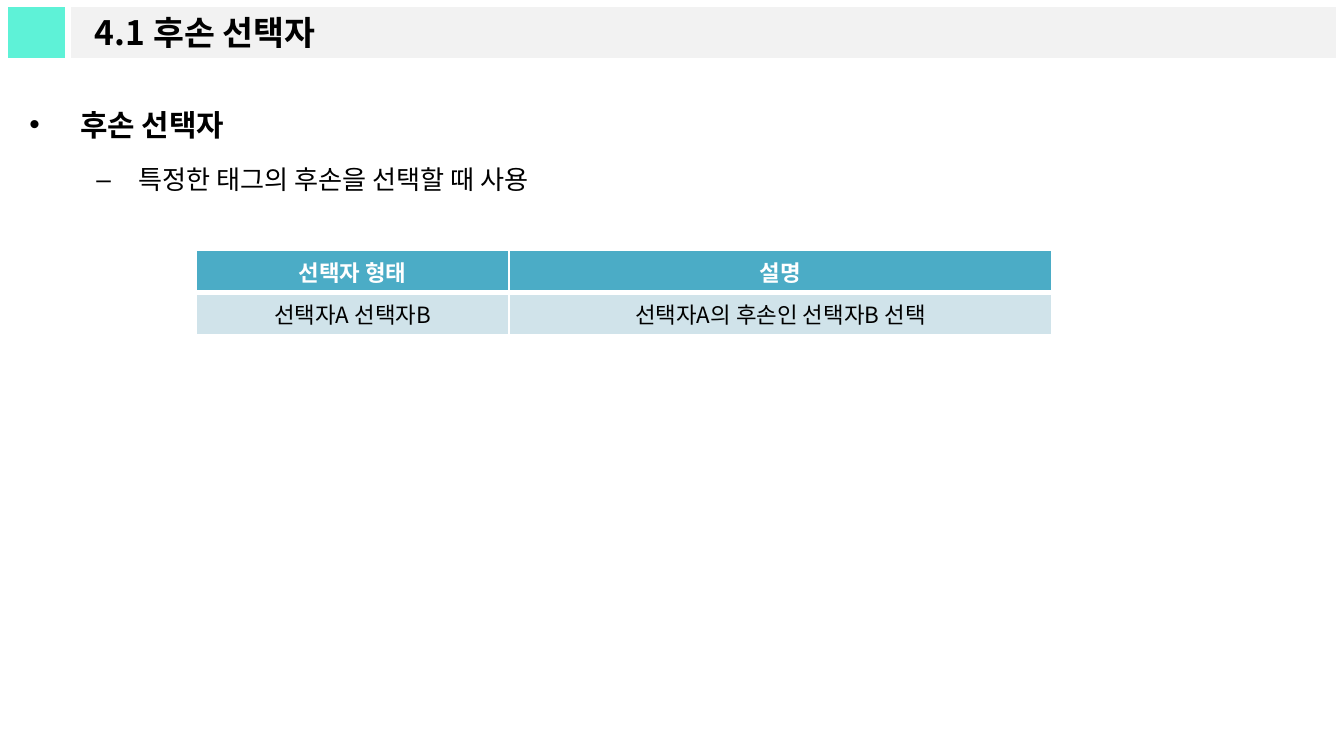
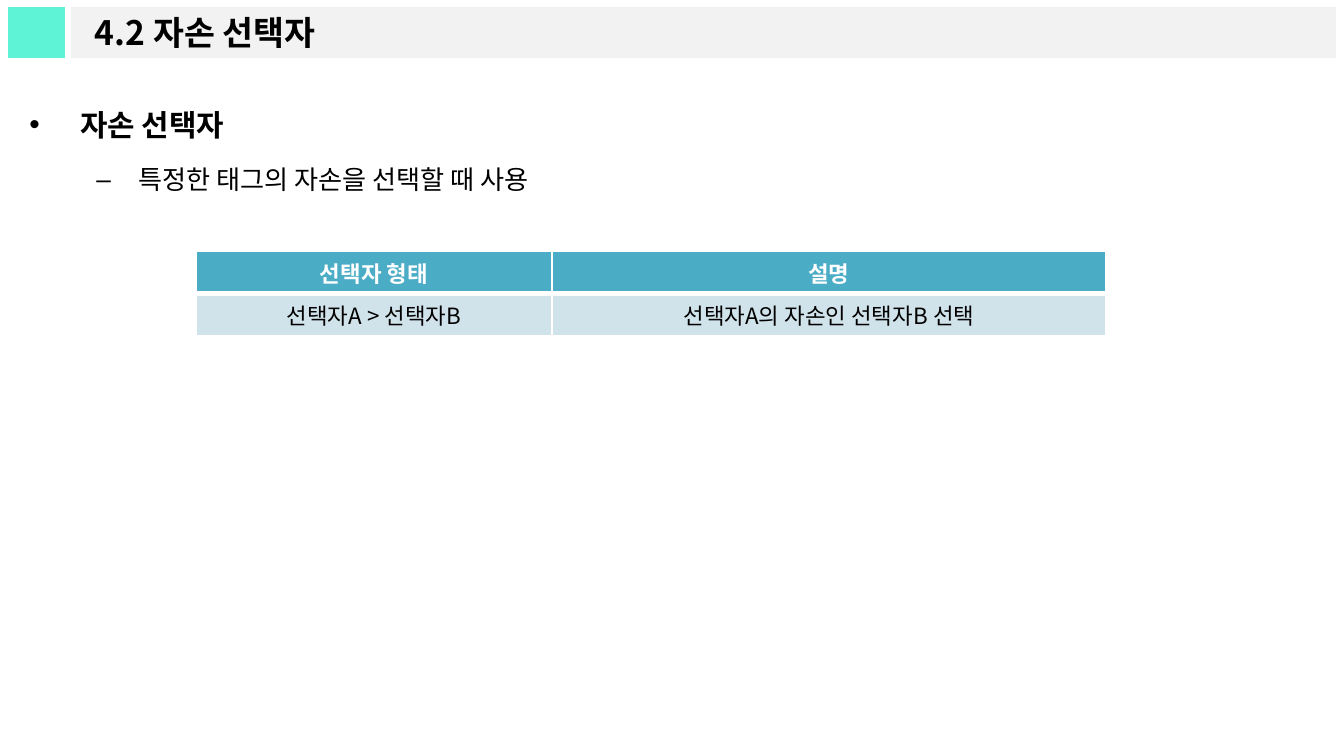
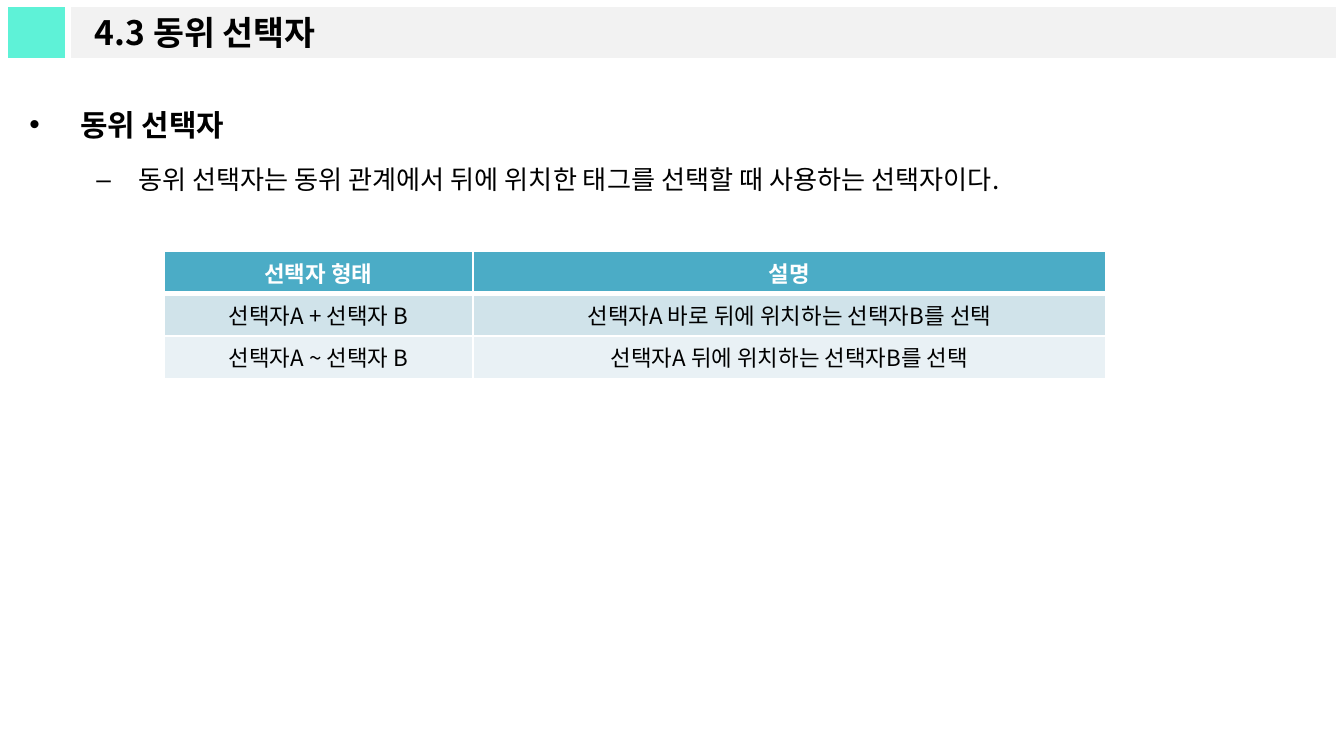
from lxml import etree
from pptx import Presentation
from pptx.dml.color import RGBColor
from pptx.enum.shapes import MSO_SHAPE
from pptx.enum.text import MSO_ANCHOR, MSO_AUTO_SIZE, PP_ALIGN
from pptx.oxml.ns import qn
from pptx.util import Pt

FONT = "Noto Sans CJK KR"
BLACK, WHITE, MINT, BAND = "000000", "FFFFFF", "5EF2D7", "F2F2F2"
HEADER, ROW_FILLS = "4BACC6", ("D0E3EA", "E9F1F5")
PX = 914400 / 134.4
MARKER_BOX = (5, 4, 63, 57)
TITLE_BOX = (68, 4, 1271, 57)
BODY_BOX = (16, 82, 1323, 650)
LEVELS = ((16, True, 51, -51), (14, False, 109, -42))
ROW_HEIGHT = 37

LESSONS = [
    ("4.1 후손 선택자", "후손 선택자", "특정한 태그의 후손을 선택할 때 사용",
     (196, 250), (313, 543),
     [("선택자A 선택자B", "선택자A의 후손인 선택자B 선택")]),
    ("4.2 자손 선택자", "자손 선택자", "특정한 태그의 자손을 선택할 때 사용",
     (196, 251), (356, 554),
     [("선택자A > 선택자B", "선택자A의 자손인 선택자B 선택")]),
    ("4.3 동위 선택자", "동위 선택자",
     "동위 선택자는 동위 관계에서 뒤에 위치한 태그를 선택할 때 사용하는 선택자이다.",
     (164, 251), (309, 633),
     [("선택자A + 선택자 B", "선택자A 바로 뒤에 위치하는 선택자B를 선택"),
      ("선택자A ~ 선택자 B", "선택자A 뒤에 위치하는 선택자B를 선택")]),
]


def px(length):
    """Turn pixels into EMU."""
    return round(length * PX)


def paint(target, color):
    """Give a shape, cell or line a solid hex colour."""
    target.fill.solid()
    target.fill.fore_color.rgb = RGBColor.from_string(color)


def place(shape, box):
    """Move and size a shape to a pixel box."""
    shape.left, shape.top, shape.width, shape.height = map(px, box)


def write(paragraph, text, size, color, bold):
    """Add one run in the deck font."""
    run = paragraph.add_run()
    run.text = text
    font = run.font
    font.name, font.size, font.bold = FONT, Pt(size), bold
    font.color.rgb = RGBColor.from_string(color)
    etree.SubElement(font._element, qn("a:ea")).set("typeface", FONT)


def style_block(shape, color):
    """Fill a header block and outline it in white."""
    paint(shape, color)
    paint(shape.line, WHITE)
    shape.line.width = Pt(3)


def add_marker(slide, layout):
    """Draw the mint square and hand it to the shared layout."""
    marker = slide.shapes.add_shape(MSO_SHAPE.RECTANGLE, *map(px, MARKER_BOX))
    marker.shadow.inherit = False
    style_block(marker, MINT)
    layout.shapes.element.append(marker.element)


def fill_title(shape, box, text):
    """Turn the title placeholder into the grey band."""
    place(shape, box)
    style_block(shape, BAND)
    frame = shape.text_frame
    frame.auto_size = MSO_AUTO_SIZE.NONE
    frame.vertical_anchor = MSO_ANCHOR.MIDDLE
    frame.margin_left = px(27)
    frame.paragraphs[0].alignment = PP_ALIGN.LEFT
    write(frame.paragraphs[0], text, 18, BLACK, True)


def fill_body(shape, box, lines):
    """Write the lines as successive bullet levels."""
    place(shape, box)
    frame = shape.text_frame
    frame.auto_size = MSO_AUTO_SIZE.NONE
    for level, (text, (size, bold, margin, indent)) in enumerate(zip(lines, LEVELS)):
        paragraph = frame.add_paragraph() if level else frame.paragraphs[0]
        paragraph.level = level
        paragraph.line_spacing = 1.5
        properties = paragraph._p.get_or_add_pPr()
        properties.set("marL", str(px(margin)))
        properties.set("indent", str(px(indent)))
        write(paragraph, text, size, BLACK, bold)


def set_borders(cell, top, bottom):
    """Give a cell white borders, with top and bottom widths in points."""
    properties = cell._tc.get_or_add_tcPr()
    for side, width in (("L", 1), ("R", 1), ("T", top), ("B", bottom)):
        line = etree.SubElement(properties, qn(f"a:ln{side}"), w=str(Pt(width)))
        solid = etree.SubElement(line, qn("a:solidFill"))
        etree.SubElement(solid, qn("a:srgbClr"), val=WHITE)


def add_selector_table(slide, corner, widths, rows):
    """Place a header row and the selector rows at a corner."""
    rows = [("선택자 형태", "설명"), *rows]
    size = (sum(widths), ROW_HEIGHT * len(rows))
    table = slide.shapes.add_table(len(rows), len(widths), *map(px, corner + size)).table
    for column, width in zip(table.columns, widths):
        column.width = px(width)
    for r, texts in enumerate(rows):
        header = r == 0
        for c, text in enumerate(texts):
            cell = table.cell(r, c)
            set_borders(cell, 3 if r == 1 else 1, 3 if header else 1)
            paint(cell, HEADER if header else ROW_FILLS[(r - 1) % 2])
            cell.vertical_anchor = MSO_ANCHOR.MIDDLE
            cell.margin_top = cell.margin_bottom = px(5)
            paragraph = cell.text_frame.paragraphs[0]
            paragraph.alignment = PP_ALIGN.CENTER
            write(paragraph, text, 12, WHITE if header else BLACK, header)


def add_lesson(deck, layout, title, topic, usage, corner, widths, rows):
    """Build one selector slide."""
    slide = deck.slides.add_slide(layout)
    fill_title(slide.shapes.title, TITLE_BOX, title)
    fill_body(slide.placeholders[1], BODY_BOX, (topic, usage))
    add_selector_table(slide, corner, widths, rows)
    return slide


def main():
    """Build and save the deck."""
    deck = Presentation()
    deck.slide_width, deck.slide_height = px(1344), px(756)
    layout = deck.slide_layouts[1]
    slides = [add_lesson(deck, layout, *lesson) for lesson in LESSONS]
    add_marker(slides[0], layout)
    deck.save("out.pptx")


main()
